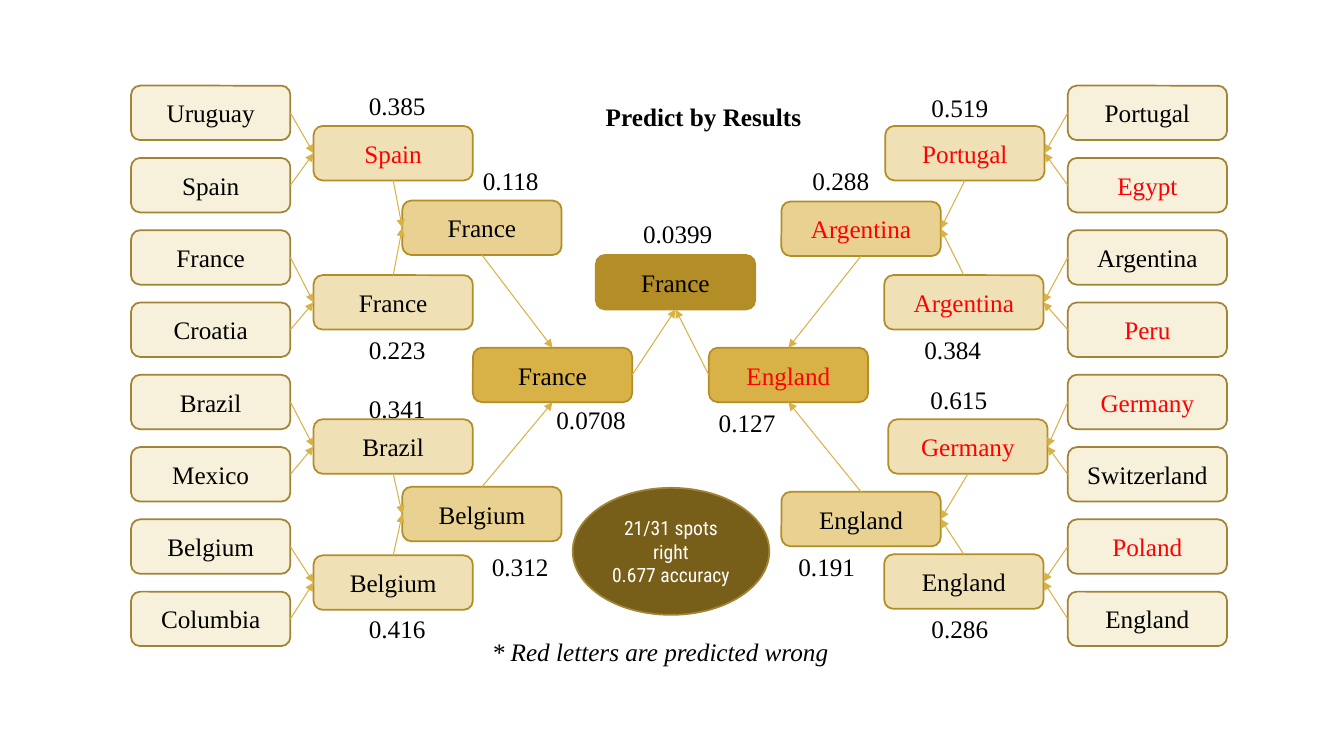
from lxml import etree
from pptx import Presentation
from pptx.dml.color import RGBColor as RGB
from pptx.enum.shapes import MSO_CONNECTOR as CXN, MSO_SHAPE as SHAPE
from pptx.enum.text import MSO_ANCHOR as ANCHOR, PP_ALIGN as ALIGN
from pptx.oxml.ns import qn
from pptx.util import Inches, Pt

W, H = 13.33, 7.5
BOX_W, BOX_H = 1.58, 0.54
FIRST_ROW, ROW_STEP = 0.85, 5.02 / 7
TOP, LEFT, BOTTOM, RIGHT = range(4)
SERIF, CONDENSED = "Times New Roman", "Roboto Condensed"
COLORS = {
    "right": "000000", "wrong": "FF0000", "white": "FFFFFF",
    "edge": "A18435", "gold": "B38D25", "arrow": "D9B247", "oval": "775E19",
}
ROUND_FILLS = ["F7F0DA", "F0E0B5", "E8D191", "D9B247"]

FIRST_ROUND = {
    "left": ["Uruguay", "Spain", "France", "Croatia",
             "Brazil", "Mexico", "Belgium", "Columbia"],
    "right": ["Portugal", "Egypt*", "Argentina", "Peru*",
              "Germany*", "Switzerland", "Poland*", "England"],
}
FIRST_LEFT = {"left": 1.3, "right": 10.59}
LATER_ROUNDS = {
    "left": [
        [("Spain*", 3.11, 1.25), ("France", 3.11, 2.73),
         ("Brazil", 3.11, 4.16), ("Belgium", 3.11, 5.51)],
        [("France", 3.99, 1.99), ("Belgium", 3.99, 4.83)],
        [("France", 4.69, 3.45)],
    ],
    "right": [
        [("Portugal*", 8.78, 1.25), ("Argentina*", 8.77, 2.73),
         ("Germany*", 8.81, 4.16), ("England", 8.77, 5.5)],
        [("Argentina*", 7.75, 2), ("England", 7.75, 4.88)],
        [("England*", 7.03, 3.45)],
    ],
}
CHAMPION = ("France", 5.91, 2.53)
PROBABILITIES = [
    ("0.385", 3.56, 0.85), ("0.223", 3.56, 3.27), ("0.341", 3.56, 3.85),
    ("0.416", 3.56, 6.04), ("0.519", 9.14, 0.87), ("0.384", 9.07, 3.27),
    ("0.615", 9.13, 3.76), ("0.286", 9.14, 6.04), ("0.118", 4.69, 1.59),
    ("0.312", 4.78, 5.42), ("0.288", 7.96, 1.59), ("0.191", 7.82, 5.42),
    ("0.0708", 5.42, 3.96), ("0.127", 7.03, 3.99), ("0.0399", 6.28, 2.12),
]
TITLE = "Predict by Results"
FOOTNOTE = "* Red letters are predicted wrong"
SCORE = ["21/31 spots right", "0.677 accuracy"]

prs = Presentation()
prs.slide_width, prs.slide_height = Inches(W), Inches(H)
s = prs.slides.add_slide(prs.slide_layouts[6])


def write(sp, lines, size=18, font=SERIF, color="right", align=ALIGN.LEFT,
          anchor=ANCHOR.TOP, bold=False, italic=False):
    tf = sp.text_frame
    tf.word_wrap = True
    tf.vertical_anchor = anchor
    for i, line in enumerate(lines):
        p = tf.add_paragraph() if i else tf.paragraphs[0]
        p.alignment = align
        r = p.add_run()
        r.text = line
        r.font.size, r.font.name = Pt(size), font
        r.font.bold, r.font.italic = bold, italic
        r.font.color.rgb = RGB.from_string(COLORS[color])


def add_filled(kind, x, y, w, h, fill, line, lines, **fmt):
    sp = s.shapes.add_shape(kind, *map(Inches, (x, y, w, h)))
    sp.shadow.inherit = False
    sp.fill.solid()
    sp.fill.fore_color.rgb = RGB.from_string(fill)
    sp.line.color.rgb = RGB.from_string(COLORS[line])
    sp.line.width = Pt(1.25)
    write(sp, lines, align=ALIGN.CENTER, anchor=ANCHOR.MIDDLE, **fmt)
    return sp


def add_team(team, x, y, fill, line="gold"):
    color = "wrong" if team.endswith("*") else "right"
    return add_filled(SHAPE.ROUNDED_RECTANGLE, x, y, BOX_W, BOX_H, fill, line,
                      [team.rstrip("*")], color=color)


def add_label(text, x, y, w=0.99, h=0.4, **fmt):
    write(s.shapes.add_textbox(*map(Inches, (x, y, w, h))), [text], **fmt)


def add_arrow(start, start_site, end, end_site):
    cx = s.shapes.add_connector(CXN.STRAIGHT, 0, 0, 0, 0)
    cx.begin_connect(start, start_site)
    cx.end_connect(end, end_site)
    cx.line.color.rgb = RGB.from_string(COLORS["arrow"])
    cx.line.width = Pt(0.75)
    etree.SubElement(cx.line._get_or_add_ln(), qn("a:tailEnd"), type="triangle")
    etree.SubElement(cx._element.spPr, qn("a:effectLst"))


champion = add_team(*CHAMPION, COLORS["gold"])
for side, teams in FIRST_ROUND.items():
    inner, outer = (RIGHT, LEFT) if side == "left" else (LEFT, RIGHT)
    rounds = [[add_team(team, FIRST_LEFT[side], FIRST_ROW + i * ROW_STEP,
                        ROUND_FILLS[0], "edge")
               for i, team in enumerate(teams)]]
    for fill, entries in zip(ROUND_FILLS[1:], LATER_ROUNDS[side]):
        rounds.append([add_team(*entry, fill) for entry in entries])
    for depth, (players, winners) in enumerate(zip(rounds, rounds[1:])):
        for i, player in enumerate(players):
            facing, opposite = (TOP, BOTTOM) if i % 2 else (BOTTOM, TOP)
            start_site = facing if depth else inner
            end_site = opposite if depth == 2 else outer
            add_arrow(player, start_site, winners[i // 2], end_site)
    add_arrow(rounds[-1][0], inner, champion, BOTTOM)

add_filled(SHAPE.OVAL, 5.68, 4.84, 1.95, 1.26, COLORS["oval"], "edge", SCORE,
           size=14, font=CONDENSED, color="white")
add_label(FOOTNOTE, 4.78, 6.26, 4.03, 0.71, italic=True)
add_label(TITLE, 5.91, 0.96, 2.67, bold=True)
for probability in PROBABILITIES:
    add_label(*probability)

prs.save("out.pptx")
